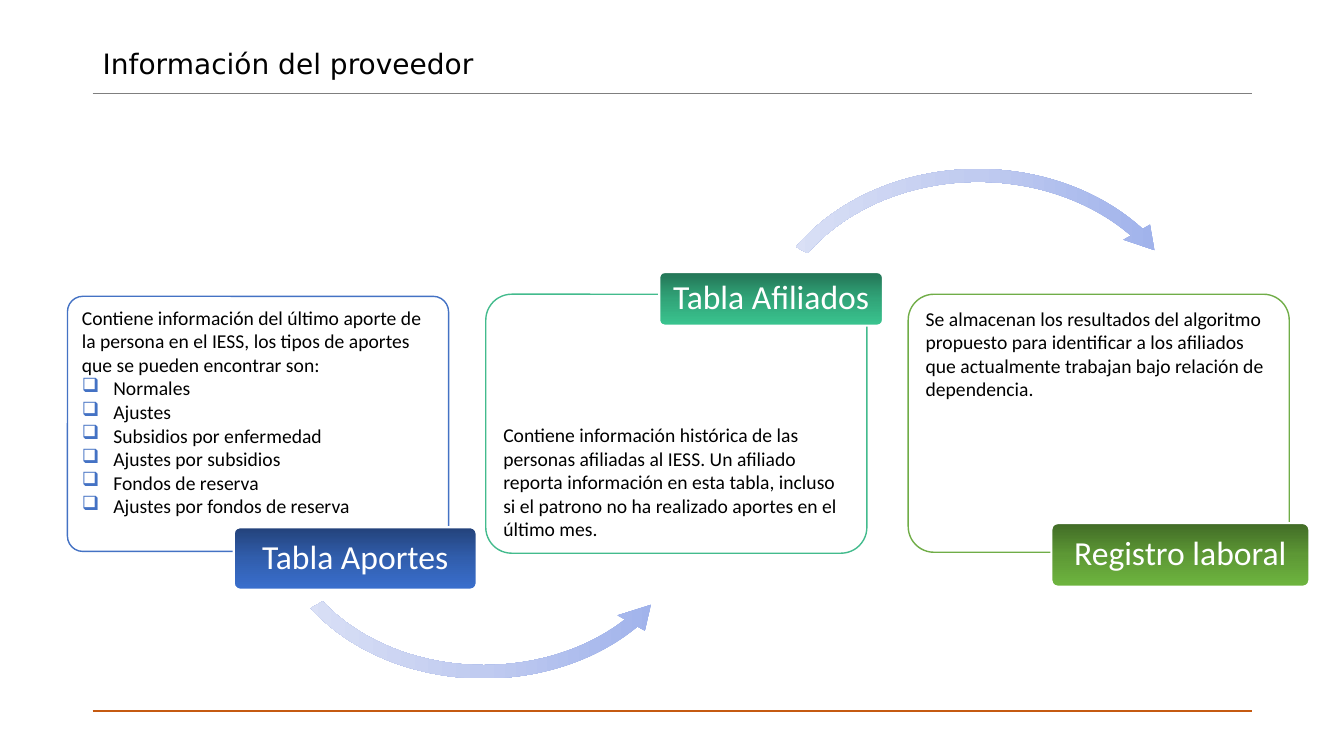
from copy import deepcopy

from pptx import Presentation
from pptx.dml.color import RGBColor as RGB
from pptx.enum.shapes import MSO_CONNECTOR as Conn, MSO_SHAPE as Shape
from pptx.enum.text import MSO_ANCHOR as Anchor, PP_ALIGN as Align
from pptx.oxml.ns import qn
from pptx.util import Pt

# Content
TITLE = "Información del proveedor"
COLORS = {
    "black": "000000", "white": "FFFFFF", "gray": "7F7F7F", "orange": "C55A11",
    "blue": "4472C4", "teal": "43BB8D", "green": "70AD47",
}
FADES = {
    "blue": ("23427A", "315EAD", "3A6FCE"),
    "teal": ("237455", "31A579", "3AC48F"),
    "green": ("416B26", "5D9835", "6EB53F"),
    "arrow": ("96ABEA", "C0CBF0", "E0E5F7"),
}
# Boxes are left, top, width, height
CARDS = [
    {"hue": "blue", "box": (48.2, 211.7, 272.2, 182.2), "round": 0.06, "anchor": Anchor.TOP,
     "text": "Contiene información del último aporte de la persona en el IESS, "
             "los tipos de aportes que se pueden encontrar son:",
     "list": ["Normales", "Ajustes", "Subsidios por enfermedad", "Ajustes por subsidios",
              "Fondos de reserva", "Ajustes por fondos de reserva"],
     "label": "Tabla Aportes", "tag": (167, 376.6, 173.5, 44.6)},
    {"hue": "teal", "box": (347, 210.2, 272.2, 185), "round": 0.1, "anchor": Anchor.BOTTOM,
     "text": "Contiene información histórica de las personas afiliadas al IESS. "
             "Un afiliado reporta información en esta tabla, incluso si el patrono "
             "no ha realizado aportes en el último mes.",
     "list": [], "label": "Tabla Afiliados", "tag": (470.9, 194.4, 159.8, 38.2)},
    {"hue": "green", "box": (648.7, 210.2, 272.2, 184.3), "round": 0.1, "anchor": Anchor.TOP,
     "text": "Se almacenan los resultados del algoritmo propuesto para identificar a los "
             "afiliados que actualmente trabajan bajo relación de dependencia.",
     "list": [], "label": "Registro laboral", "tag": (751, 373.7, 184.3, 45.4)},
]
# Kind, box, adjustments in percent
ARROWS = [
    (Shape.LEFT_CIRCULAR_ARROW, (187.2, 237.6, 316.8, 253.4), (3.8, 472.5, 2248, 9024.5, 4.4)),
    (Shape.CIRCULAR_ARROW, (534.2, 114.5, 329, 271.4), (3.4, 422.5, 19402, 12575.5, 4)),
]
LEFT, WIDTH = 66.2, 828
RULES = [(67, "gray", 0.75), (507.6, "orange", 1.25)]
INDENT = 22.5

deck = Presentation()
deck.slide_width, deck.slide_height = Pt(960), Pt(540)
slide = deck.slides.add_slide(deck.slide_layouts[5])
shapes = slide.shapes


def hue(name):
    return RGB.from_string(COLORS[name])


def add(kind, box, adjust):
    shape = shapes.add_shape(kind, *map(Pt, box))
    shape.shadow.inherit = False
    for i, value in enumerate(adjust):
        shape.adjustments[i] = value
    return shape


def edge(shape, name, width):
    shape.line.color.rgb = hue(name)
    shape.line.width = Pt(width)


def fade(shape, name, angle):
    fill = shape.fill
    fill.gradient()
    fill.gradient_angle = angle
    stops = shape._element.spPr.find(".//" + qn("a:gsLst"))
    stops.insert(1, deepcopy(stops[0]))
    for i, (stop, tone) in enumerate(zip(fill.gradient_stops, FADES[name])):
        stop.position = i / 2
        stop.color.rgb = RGB.from_string(tone)


def style(para, size, color, align, face="Calibri"):
    para.alignment = align
    font = para.font
    font.size, font.name, font.color.rgb = Pt(size), face, hue(color)


def bullet(para, color):
    props = para._p.get_or_add_pPr()
    props.set("marL", str(Pt(INDENT)))
    props.set("indent", str(-Pt(INDENT)))
    tint = props.makeelement(qn("a:buClr"))
    tint.append(tint.makeelement(qn("a:srgbClr"), {"val": COLORS[color]}))
    props.append(tint)
    props.append(props.makeelement(qn("a:buChar"), {"char": "❑"}))


# Title
title = shapes.title
title.left, title.top, title.width, title.height = map(Pt, (LEFT, 19.4, WIDTH, 54.7))
title.text_frame.text = TITLE
title.text_frame.vertical_anchor = Anchor.MIDDLE
head = title.text_frame.paragraphs[0]
head.line_spacing = 0.9
style(head, 20, "black", Align.LEFT, "DejaVu Sans")

# Rules above and below
for y, color, width in RULES:
    rule = shapes.add_connector(Conn.STRAIGHT, Pt(LEFT), Pt(y), Pt(LEFT + WIDTH), Pt(y))
    edge(rule, color, width)
    props = rule._element.spPr
    props.append(props.makeelement(qn("a:effectLst")))

# Cards with their labels
for card in CARDS:
    box = add(Shape.ROUNDED_RECTANGLE, card["box"], [card["round"]])
    box.fill.background()
    edge(box, card["hue"], 1)
    frame = box.text_frame
    frame.word_wrap = True
    frame.vertical_anchor = card["anchor"]
    frame.text = "\n".join([card["text"], *card["list"]])
    for i, para in enumerate(frame.paragraphs):
        if i:
            bullet(para, card["hue"])
        style(para, 14, "black", Align.LEFT)

    tag = add(Shape.ROUNDED_RECTANGLE, card["tag"], [0.1])
    fade(tag, card["hue"], 270)
    edge(tag, "white", 1.5)
    frame = tag.text_frame
    frame.word_wrap = True
    frame.vertical_anchor = Anchor.MIDDLE
    frame.margin_left = frame.margin_right = Pt(4.5)
    frame.margin_top = frame.margin_bottom = Pt(3)
    frame.text = card["label"]
    frame.paragraphs[0].line_spacing = 0.9
    style(frame.paragraphs[0], 24, "white", Align.CENTER)

# Curved arrows
for kind, box, adjust in ARROWS:
    arrow = add(kind, box, [value / 100 for value in adjust])
    fade(arrow, "arrow", 180)
    arrow.line.fill.background()

deck.save("out.pptx")
